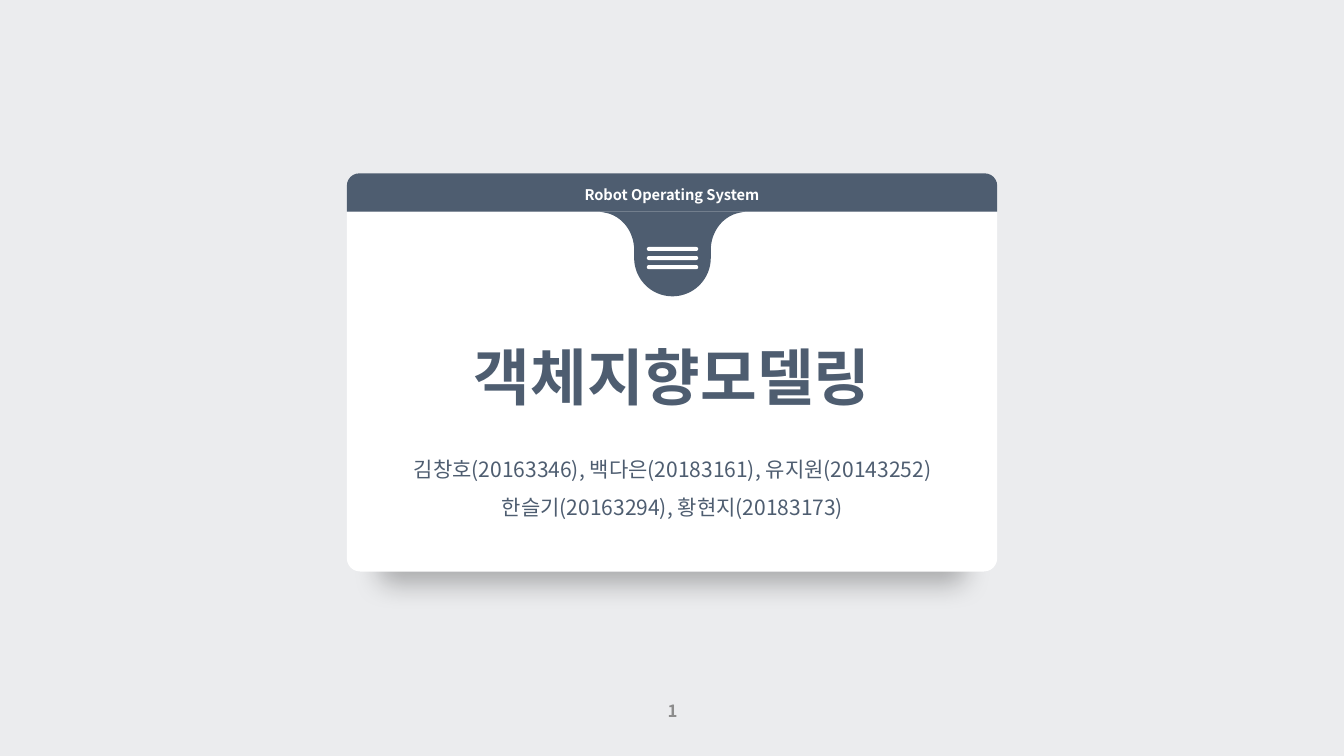
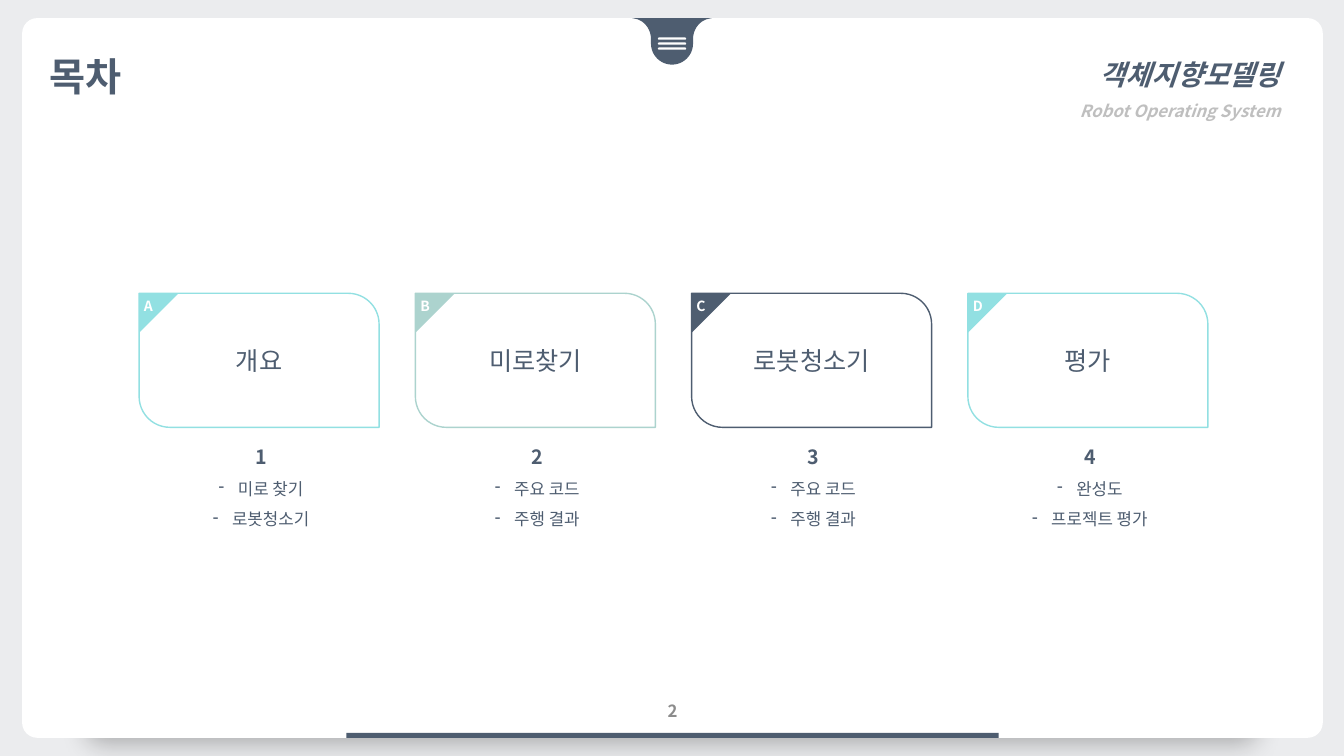
import dataclasses

import lxml.etree
import pptx
import pptx.dml.color
import pptx.enum.shapes
import pptx.enum.text
import pptx.oxml.ns
import pptx.util

Inches = pptx.util.Inches
Pt = pptx.util.Pt
Preset = pptx.enum.shapes.MSO_SHAPE
Align = pptx.enum.text.PP_ALIGN
Anchor = pptx.enum.text.MSO_ANCHOR
AutoSize = pptx.enum.text.MSO_AUTO_SIZE
qn = pptx.oxml.ns.qn


@dataclasses.dataclass(frozen=True)
class Theme:
    font: str = "Noto Sans CJK KR"
    backdrop: str = "EBECEE"
    paper: str = "FFFFFF"
    slate: str = "4E5D70"
    aqua: str = "92E0E2"
    sage: str = "ACD3CE"
    silver: str = "BFBFBF"
    grey: str = "8C8C8C"
    shadow: str = "000000"
    cover_size: float = 44
    title_size: float = 28
    course_size: float = 20
    card_size: float = 18
    author_size: float = 15
    number_size: float = 14
    body_size: float = 12
    band_size: float = 10.5
    letter_size: float = 10


THEME = Theme()
COURSE = "객체지향모델링"
SUBJECT = "Robot Operating System"
AUTHORS = [
    "김창호(20163346), 백다은(20183161), 유지원(20143252)",
    "한슬기(20163294), 황현지(20183173)",
]
CHAPTERS = [
    ("A", "개요", THEME.aqua, ["미로 찾기", "로봇청소기"]),
    ("B", "미로찾기", THEME.sage, ["주요 코드", "주행 결과"]),
    ("C", "로봇청소기", THEME.slate, ["주요 코드", "주행 결과"]),
    ("D", "평가", THEME.aqua, ["완성도", "프로젝트 평가"]),
]


def rgb(colour):
    return pptx.dml.color.RGBColor.from_string(colour)


def apply(target, formats):
    for name, value in formats.items():
        setattr(target, name, value)


def line(text, size, colour=THEME.slate, bold=True, italic=None, bullet=None, **paragraph):
    font = {"name": THEME.font, "size": Pt(size), "bold": bold, "italic": italic}
    return text, colour, font, bullet, paragraph


def write(frame, lines, **frame_formats):
    apply(frame, {"word_wrap": True, **frame_formats})
    for index, (text, colour, font, bullet, formats) in enumerate(lines):
        paragraph = frame.add_paragraph() if index else frame.paragraphs[0]
        apply(paragraph, {"alignment": Align.CENTER, **formats})
        run = paragraph.add_run()
        run.text = text
        run.font.color.rgb = rgb(colour)
        apply(run.font, font)
        lxml.etree.SubElement(run.font._element, qn("a:ea"), typeface=THEME.font)
        if bullet:
            properties = paragraph._p.get_or_add_pPr()
            properties.set("marL", str(Inches(0.19)))
            properties.set("indent", str(-Inches(0.19)))
            lxml.etree.SubElement(properties, qn("a:buChar"), char=bullet)


def add_text(shapes, box, lines, **frame_formats):
    label = shapes.add_textbox(*map(Inches, box))
    write(label.text_frame, lines, **frame_formats)


def paint(shape, fill, outline=None):
    shape.shadow.inherit = False
    shape.fill.solid()
    shape.fill.fore_color.rgb = rgb(fill)
    if outline:
        shape.line.color.rgb = rgb(outline)
        shape.line.width = Pt(1)
    else:
        shape.line.fill.background()


def add_panel(shapes, preset, box, fill, outline=None, corners=()):
    panel = shapes.add_shape(preset, *map(Inches, box))
    paint(panel, fill, outline)
    for index, corner in enumerate(corners):
        panel.adjustments[index] = corner
    return panel


def cast_shadow(panel, distance):
    effects = panel._element.spPr.find(qn("a:effectLst"))
    shadow = lxml.etree.SubElement(
        effects, qn("a:outerShdw"), blurRad=str(Pt(19)), dist=str(Pt(distance)),
        dir="5400000", sx="90000", sy="90000", algn="t", rotWithShape="0")
    colour = lxml.etree.SubElement(shadow, qn("a:srgbClr"), val=THEME.shadow)
    lxml.etree.SubElement(colour, qn("a:alpha"), val="27000")


def curve(start, pull_start, pull_end, end, steps=16):
    points = []
    for step in range(1, steps + 1):
        t = step / steps
        weights = ((1 - t) ** 3, 3 * t * (1 - t) ** 2, 3 * t * t * (1 - t), t ** 3)
        controls = (start, pull_start, pull_end, end)
        points.append(tuple(sum(w * c[axis] for w, c in zip(weights, controls))
                            for axis in (0, 1)))
    return points


def add_menu_tab(shapes, left, top, width):
    scale = width / 1.44
    centre = left + width / 2
    right_side = [(0.72, 0), (0.67, 0.01)]
    right_side += curve((0.67, 0.01), (0.5, 0.04), (0.38, 0.2), (0.38, 0.38))
    right_side += [(0.38, 0.46)]
    right_side += curve((0.38, 0.46), (0.38, 0.67), (0.21, 0.84), (0, 0.84))
    left_side = [(-x, y) for x, y in reversed(right_side[:-1])]
    outline = [(Inches(centre + x * scale), Inches(top + y * scale))
               for x, y in right_side + left_side]
    builder = shapes.build_freeform(*outline[0], scale=1.0)
    builder.add_line_segments(outline[1:], close=True)
    paint(builder.convert_to_shape(), THEME.slate)
    for row in range(3):
        bar = (centre - 0.255 * scale, top + (0.35 + 0.09 * row) * scale,
               0.51 * scale, 0.04 * scale)
        add_panel(shapes, Preset.ROUNDED_RECTANGLE, bar, THEME.paper, corners=[0.5])


def new_slide(deck):
    slide = deck.slides.add_slide(deck.slide_layouts[6])
    slide.background.fill.solid()
    slide.background.fill.fore_color.rgb = rgb(THEME.backdrop)
    return slide


def add_page_number(slide, number):
    add_text(slide.shapes, (5.17, 6.85, 3, 0.4),
             [line(str(number), THEME.body_size, THEME.grey)],
             vertical_anchor=Anchor.MIDDLE)


def build_cover(deck, box, number):
    left, top, width, height = box
    slide = new_slide(deck)
    shapes = slide.shapes
    band_height = 0.38
    body_top = top + band_height
    rounded = Preset.ROUND_2_SAME_RECTANGLE
    card = add_panel(shapes, rounded, (left, body_top, width, height - band_height),
                     THEME.paper, corners=[0, 0.037])
    cast_shadow(card, 34)
    band = add_panel(shapes, rounded, (left, top, width, band_height),
                     THEME.slate, corners=[0.321, 0])
    write(band.text_frame, [line(SUBJECT, THEME.band_size, THEME.paper)],
          vertical_anchor=Anchor.MIDDLE)
    heading = add_panel(shapes, rounded, (left + 0.32, top + 1.27, width - 0.63, 2.53),
                        THEME.paper, corners=[0, 0.037])
    lines = [line(COURSE, THEME.cover_size, line_spacing=1.5)]
    lines += [line(author, THEME.author_size, bold=False, line_spacing=1.5,
                   space_before=Pt(0 if index else 22))
              for index, author in enumerate(AUTHORS)]
    write(heading.text_frame, lines, vertical_anchor=Anchor.MIDDLE,
          margin_bottom=Inches(0.38))
    add_menu_tab(shapes.add_group_shape().shapes, left + 2.51, body_top, 1.44)
    add_page_number(slide, number)


def add_page_frame(slide, box):
    left, top, width, height = box
    frame = slide.shapes.add_group_shape().shapes
    page = add_panel(frame, Preset.ROUNDED_RECTANGLE, box, THEME.paper, corners=[0.021])
    cast_shadow(page, 55)
    add_menu_tab(frame, left + 6.05, top, 0.79)
    add_panel(frame, Preset.RECTANGLE,
              (left + (width - 6.47) / 2, top + height - 0.05, 6.47, 0.05), THEME.slate)


def add_chapter_card(slide, box, letter, name, colour):
    left, top = box[:2]
    parts = slide.shapes.add_group_shape().shapes
    card = add_panel(parts, Preset.ROUND_2_DIAG_RECTANGLE, box, THEME.paper,
                     colour, corners=[0, 0.23])
    write(card.text_frame, [line(name, THEME.card_size, bold=None)],
          vertical_anchor=Anchor.MIDDLE)
    corner = add_panel(parts, Preset.RIGHT_TRIANGLE, (left, top, 0.39, 0.39), colour)
    corner.rotation = 90
    add_text(parts, (left - 0.05, top - 0.01, 0.3, 0.27),
             [line(letter, THEME.letter_size, THEME.paper, alignment=Align.LEFT)],
             word_wrap=False, auto_size=AutoSize.SHAPE_TO_FIT_TEXT)


def add_chapter_topics(slide, box, number, topics):
    lines = [line(str(number), THEME.number_size, line_spacing=1.5)]
    lines += [line(topic, THEME.body_size, bold=False, bullet="-", line_spacing=1.5)
              for topic in topics]
    add_text(slide.shapes, box, lines, auto_size=AutoSize.SHAPE_TO_FIT_TEXT)


def build_contents(deck, box, number):
    left, top = box[:2]
    slide = new_slide(deck)
    add_page_frame(slide, box)
    add_text(slide.shapes, (left + 0.17, top + 0.17, 12.41, 0.87),
             [line(COURSE, THEME.course_size, italic=True,
                   alignment=Align.RIGHT, line_spacing=1.5),
              line(SUBJECT, THEME.body_size, THEME.silver, italic=True,
                   alignment=Align.RIGHT, line_spacing=1.5)],
             auto_size=AutoSize.SHAPE_TO_FIT_TEXT)
    for index, (letter, name, colour, topics) in enumerate(CHAPTERS):
        card_left = left + 1.16 + 2.74 * index
        card_top = top + 2.73
        add_chapter_card(slide, (card_left, card_top, 2.38, 1.33), letter, name, colour)
        add_chapter_topics(slide, (card_left - 0.17, card_top + 1.34, 2.76, 1.02),
                           index + 1, topics)
    add_page_number(slide, number)
    add_text(slide.shapes, (left + 0.17, top + 0.1, 12.41, 0.71),
             [line("목차", THEME.title_size, alignment=Align.LEFT, line_spacing=1.5)],
             vertical_anchor=Anchor.MIDDLE, auto_size=AutoSize.SHAPE_TO_FIT_TEXT)


def main():
    deck = pptx.Presentation()
    apply(deck, {"slide_width": Inches(13.33), "slide_height": Inches(7.5)})
    build_cover(deck, (3.44, 1.72, 6.45, 3.95), 1)
    build_contents(deck, (0.22, 0.18, 12.9, 7.14), 2)
    deck.save("out.pptx")


if __name__ == "__main__":
    main()
